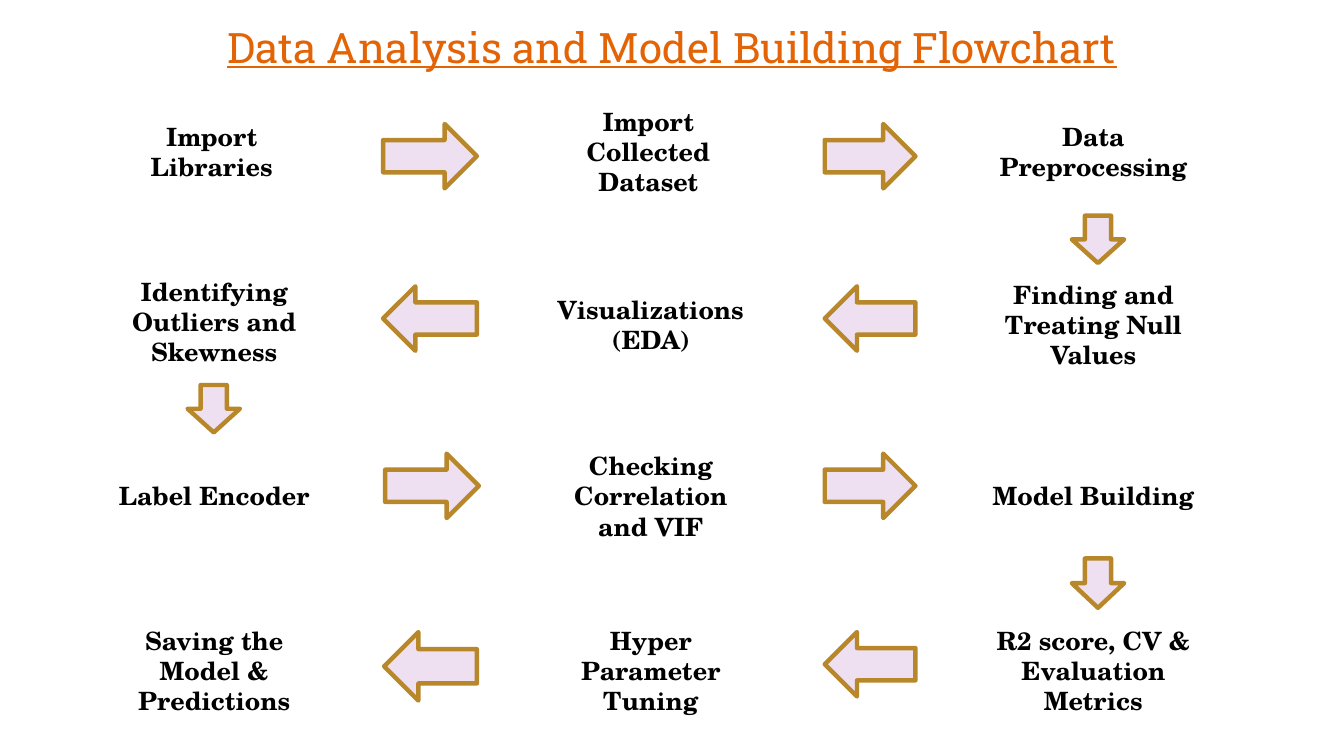
from pptx import Presentation
from pptx.dml.color import RGBColor
from pptx.enum.shapes import MSO_SHAPE as SHAPE
from pptx.enum.text import MSO_ANCHOR as ANCHOR, PP_ALIGN as ALIGN
from pptx.util import Pt

PX = 9144  # 100 px to the inch


def color(hex_text):
    return RGBColor.from_string(hex_text)


def add_block(s, kind, box, fill):
    sp = s.shapes.add_shape(kind, *[n * PX for n in box])
    sp.shadow.inherit = False
    sp.fill.solid()
    sp.fill.fore_color.rgb = color(fill)
    return sp


prs = Presentation()
prs.slide_width, prs.slide_height = 1333 * PX, 750 * PX
s = prs.slides.add_slide(prs.slide_layouts[6])

# Title
title = s.shapes.add_textbox(0, 16 * PX, 1333 * PX, 61 * PX)
tf = title.text_frame
tf.word_wrap = True
tf.text = "Data Analysis and Model Building Flowchart"
p = tf.paragraphs[0]
p.alignment = ALIGN.CENTER
p.font.name, p.font.size = "Roboto Slab", Pt(30)
p.font.underline = True
p.font.color.rgb = color("E36406")

# Arrows, in the order of the flow
RIGHT, LEFT, DOWN = SHAPE.RIGHT_ARROW, SHAPE.LEFT_ARROW, SHAPE.DOWN_ARROW
arrows = [
    (RIGHT, 380, 123, 93, 64), (RIGHT, 818, 123, 90, 64),
    (DOWN, 1063, 214, 52, 47),
    (LEFT, 818, 284, 90, 64), (LEFT, 380, 284, 93, 64),
    (DOWN, 186, 382, 52, 47),
    (RIGHT, 382, 450, 93, 64), (RIGHT, 818, 450, 90, 64),
    (DOWN, 1063, 554, 52, 49),
    (LEFT, 818, 627, 90, 64), (LEFT, 381, 627, 92, 68),
]
for kind, *box in arrows:
    arrow = add_block(s, kind, box, "EEE0F1")
    arrow.line.color.rgb = color("B8872A")
    arrow.line.width = Pt(3.15)

# Steps: each row holds its widths, tops and texts from left to right
columns = [94, 527, 966]
rows = [
    ((232, 232, 237), (92, 92, 92),
     ("Import Libraries", "Import Collected Dataset", "Data Preprocessing")),
    ((237, 237, 237), (261, 264, 264),
     ("Identifying Outliers and Skewness", "Visualizations\n(EDA)",
      "Finding and Treating Null Values")),
    ((237, 237, 237), (434, 434, 434),
     ("Label Encoder", "Checking Correlation and VIF", "Model Building")),
    ((237, 237, 237), (607, 607, 607),
     ("Saving the Model & Predictions", "Hyper Parameter Tuning",
      "R2 score, CV & Evaluation Metrics")),
]
for i, (widths, tops, texts) in enumerate(rows):
    steps = list(zip(columns, tops, widths, texts))
    if i % 2:  # every second row runs from right to left
        steps.reverse()
    for left, top, width, text in steps:
        step = add_block(s, SHAPE.FLOWCHART_ALTERNATE_PROCESS,
                         (left, top, width, 116), "FFFFFF")
        step.line.fill.background()
        tf = step.text_frame
        tf.word_wrap = True
        tf.vertical_anchor = ANCHOR.MIDDLE
        tf.text = text
        for p in tf.paragraphs:
            p.alignment = ALIGN.CENTER
            p.font.name, p.font.size = "TeX Gyre Schola", Pt(18)
            p.font.bold = True
            p.font.color.rgb = color("000000")

prs.save("out.pptx")
